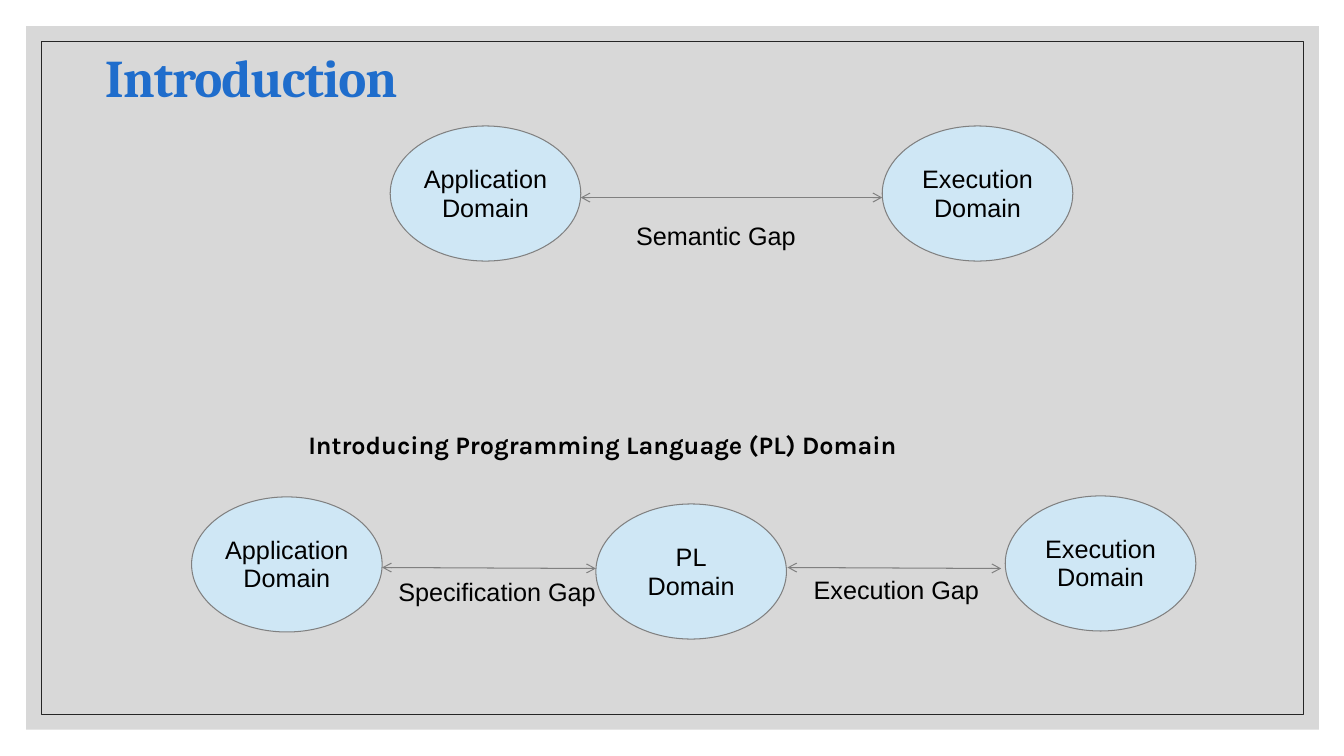
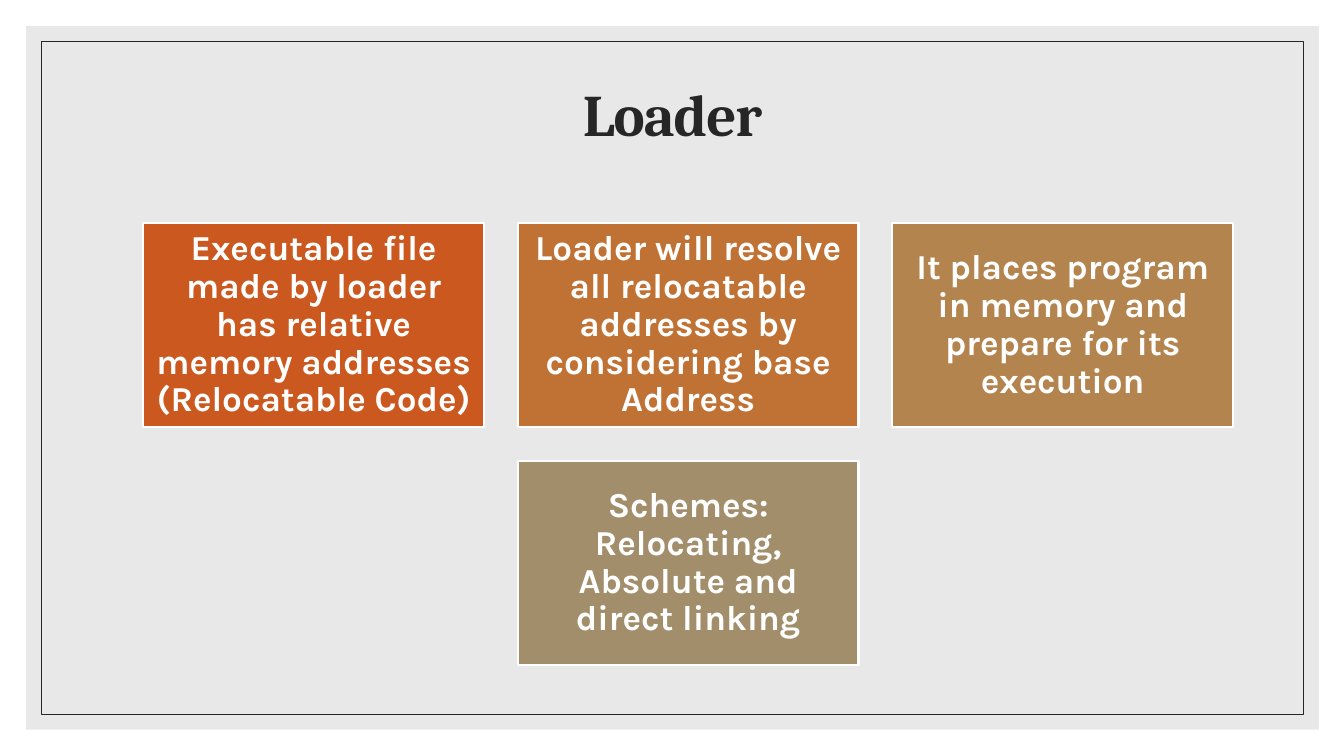
from lxml import etree
from pptx import Presentation
from pptx.dml.color import RGBColor
from pptx.enum.shapes import MSO_CONNECTOR, MSO_SHAPE
from pptx.enum.text import MSO_ANCHOR, MSO_AUTO_SIZE, PP_ALIGN
from pptx.oxml.ns import qn
from pptx.util import Inches, Pt

RECTANGLE, OVAL = MSO_SHAPE.RECTANGLE, MSO_SHAPE.OVAL
STRAIGHT = MSO_CONNECTOR.STRAIGHT
TOP, MIDDLE = MSO_ANCHOR.TOP, MSO_ANCHOR.MIDDLE
LEFT, CENTER = PP_ALIGN.LEFT, PP_ALIGN.CENTER
NO_AUTOFIT = MSO_AUTO_SIZE.NONE
TITLE_ONLY = 5

BLACK = RGBColor(0x00, 0x00, 0x00)
WHITE = RGBColor(0xFF, 0xFF, 0xFF)
CHARCOAL = RGBColor(0x26, 0x26, 0x26)
GRAY = RGBColor(0x80, 0x80, 0x80)
PANEL_DARK = RGBColor(0xBF, 0xBF, 0xBF)
PANEL_LIGHT = RGBColor(0xD9, 0xD9, 0xD9)
TITLE_BLUE = RGBColor(0x1F, 0x6D, 0xCC)
DOMAIN_BLUE = RGBColor(0xCF, 0xE7, 0xF5)
CARD_COLORS = (
    RGBColor(0xCB, 0x58, 0x1F),
    RGBColor(0xC0, 0x72, 0x35),
    RGBColor(0xB3, 0x84, 0x4E),
    RGBColor(0xA2, 0x8E, 0x6A),
)

DIAGRAM_FONT = {"name": "Arial", "size": Pt(18), "bold": False}
SUBHEAD_FONT = {"name": "Karla", "size": Pt(18), "bold": True}
CARD_FONT = {"name": "Karla", "size": Pt(25), "bold": True}
TITLE_FONT = {"name": "Cambria", "bold": True}

DIAGRAM_INSETS = (0.1, 0.07, 0.1, 0.05)
CARD_INSETS = (0.1, 0.1, 0.1, 0.1)
TEXT_INSETS = (0.1, 0.05, 0.1, 0.05)

DOMAIN_SIZE = (1.89, 1.34)
CARD_SIZE = (3.38, 2.03)
CARD_LEFT, CARD_TOP = 1.42, 2.21
CARD_STEP_X, CARD_STEP_Y = 3.715, 2.36

DOMAINS = (
    ("Application\nDomain", 3.87, 1.25),
    ("Execution\nDomain", 8.75, 1.25),
    ("Application\nDomain", 1.9, 4.93),
    ("Execution\nDomain", 9.97, 4.92),
    ("PL\nDomain", 5.91, 5),
)
GAPS = (
    ("Semantic Gap", 5.84, 2.14),
    ("Execution Gap", 7.63, 5.65),
    ("Specification Gap", 3.67, 5.67),
)
ARROWS = (
    (5.76, 1.96, 8.75, 1.96),
    (7.81, 5.63, 9.93, 5.64),
    (3.79, 5.63, 5.91, 5.64),
)
CARDS = (
    ("Executable file made by loader has relative memory addresses (Relocatable Code)", 0, 0),
    ("Loader will resolve all relocatable addresses by considering base Address", 1, 0),
    ("It places program in memory and prepare for its execution", 2, 0),
    ("Schemes: Relocating, Absolute and direct linking", 1, 1),
)


def apply(target, values):
    for attribute, value in values.items():
        setattr(target, attribute, value)


def write(frame, text, font, color, insets, spacing, align=CENTER, anchor=MIDDLE, wrap=True):
    left, top, right, bottom = map(Inches, insets)
    frame.text = text
    apply(frame, {
        "auto_size": NO_AUTOFIT, "word_wrap": wrap, "vertical_anchor": anchor,
        "margin_left": left, "margin_top": top,
        "margin_right": right, "margin_bottom": bottom,
    })
    for paragraph in frame.paragraphs:
        apply(paragraph, {"alignment": align, "line_spacing": spacing})
        for run in paragraph.runs:
            apply(run.font, font)
            run.font.color.rgb = color


def add_block(slide, preset, box, fill=None, line=None, weight=0.5):
    block = slide.shapes.add_shape(preset, *map(Inches, box))
    block.shadow.inherit = False
    if fill is None:
        block.fill.background()
    else:
        block.fill.solid()
        block.fill.fore_color.rgb = fill
    if line is None:
        block.line.fill.background()
    else:
        block.line.color.rgb = line
        block.line.width = Pt(weight)
    return block


def add_framed_slide(deck, panel_color):
    slide = deck.slides.add_slide(deck.slide_layouts[TITLE_ONLY])
    panel = add_block(slide, RECTANGLE, (0.26, 0.26, 12.82, 6.98), panel_color)
    tint = panel._element.spPr.find(qn("a:solidFill"))[0]
    etree.SubElement(tint, qn("a:alpha"), val="60000")
    add_block(slide, RECTANGLE, (0.41, 0.41, 12.52, 6.68), line=CHARCOAL)
    return slide


def set_title(slide, text, box, size, color, align):
    title = slide.shapes.title
    apply(title, dict(zip(("left", "top", "width", "height"), map(Inches, box))))
    font = {**TITLE_FONT, "size": Pt(size)}
    write(title.text_frame, text, font, color, TEXT_INSETS, 0.9, align)
    for run in title.text_frame.paragraphs[0].runs:
        run.font._element.set("spc", "-70")
    slide.shapes._spTree.append(title._element)


def add_domain(slide, text, left, top):
    domain = add_block(slide, OVAL, (left, top, *DOMAIN_SIZE), DOMAIN_BLUE, GRAY, 0.74)
    write(domain.text_frame, text, DIAGRAM_FONT, BLACK, DIAGRAM_INSETS, 0.93, wrap=False)


def add_label(slide, text, box, font, insets, spacing, align):
    label = slide.shapes.add_textbox(*map(Inches, box))
    write(label.text_frame, text, font, BLACK, insets, spacing, align, TOP)


def add_double_arrow(slide, ends):
    arrow = slide.shapes.add_connector(STRAIGHT, *map(Inches, ends))
    arrow.line.color.rgb = GRAY
    arrow.line.width = Pt(0.74)
    properties = arrow._element.spPr
    outline = properties.find(qn("a:ln"))
    for end in ("a:headEnd", "a:tailEnd"):
        etree.SubElement(outline, qn(end), type="arrow")
    etree.SubElement(properties, qn("a:effectLst"))


def add_card(slide, text, column, row, color):
    left = CARD_LEFT + column * CARD_STEP_X
    top = CARD_TOP + row * CARD_STEP_Y
    card = add_block(slide, RECTANGLE, (left, top, *CARD_SIZE), color, WHITE, 1.5)
    write(card.text_frame, text, CARD_FONT, WHITE, CARD_INSETS, 0.9)


def build_introduction(deck):
    slide = add_framed_slide(deck, PANEL_DARK)
    set_title(slide, "Introduction", (0.94, 0.46, 11.86, 0.67), 37.8, TITLE_BLUE, LEFT)
    for domain in DOMAINS:
        add_domain(slide, *domain)
    for text, left, top in GAPS:
        add_label(slide, text, (left, top, 2.52, 0.38), DIAGRAM_FONT, DIAGRAM_INSETS, 0.93, CENTER)
    for ends in ARROWS:
        add_double_arrow(slide, ends)
    add_label(slide, "Introducing Programming Language (PL) Domain",
              (2.96, 4.24, 8.56, 0.38), SUBHEAD_FONT, TEXT_INSETS, 0.92, LEFT)


def build_loader(deck):
    slide = add_framed_slide(deck, PANEL_LIGHT)
    set_title(slide, "Loader", (1.17, 0.7, 11, 0.94), 42, CHARCOAL, CENTER)
    for card, color in zip(CARDS, CARD_COLORS):
        add_card(slide, *card, color)


def main():
    deck = Presentation()
    deck.slide_width = Inches(13.33)
    deck.slide_height = Inches(7.5)
    build_introduction(deck)
    build_loader(deck)
    deck.save("out.pptx")


main()
